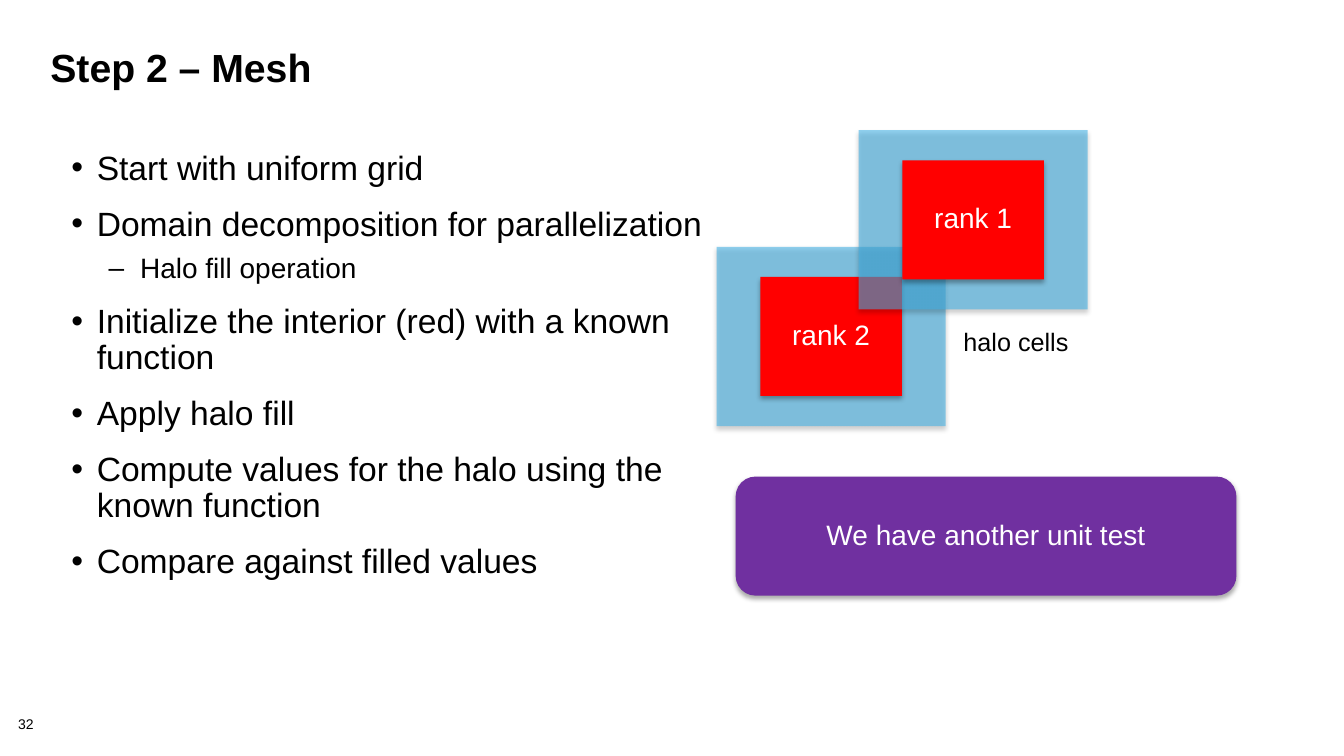
from dataclasses import dataclass

from lxml.etree import SubElement
from pptx import Presentation
from pptx.dml.color import RGBColor
from pptx.enum.shapes import MSO_SHAPE
from pptx.enum.text import MSO_ANCHOR, PP_ALIGN
from pptx.oxml.ns import qn
from pptx.util import Cm, Pt

COLORS = {
    "text": "000000",
    "on_fill": "FFFFFF",
    "halo": "43B1E5",
    "interior": "FF0000",
    "callout": "7030A0",
}
FONT = "Arial"


@dataclass(frozen=True)
class Box:
    """A rectangle on the slide, in centimetres."""
    left: float
    top: float
    width: float
    height: float

    def lengths(self):
        return Cm(self.left), Cm(self.top), Cm(self.width), Cm(self.height)

    def inset(self, dx: float, dy: float) -> "Box":
        return Box(self.left + dx, self.top + dy,
                   self.width - 2 * dx, self.height - 2 * dy)


@dataclass(frozen=True)
class Rank:
    label: str
    halo: Box


@dataclass(frozen=True)
class Level:
    mark: str
    size: float
    space_before: float
    margin: float
    hanging: float


@dataclass(frozen=True)
class Step:
    text: str
    level: int = 0


LEVELS = [Level("•", 24, 14, 0.64, 0.64), Level("–", 20, 8, 1.73, 0.79)]

STEPS = [
    Step("Start with uniform grid"),
    Step("Domain decomposition for parallelization"),
    Step("Halo fill operation", 1),
    Step("Initialize the interior (red) with a known function"),
    Step("Apply halo fill"),
    Step("Compute values for the halo using the known function"),
    Step("Compare against filled values"),
]

HALO_WIDTH, HALO_HEIGHT = 5.77, 4.52
HALO_DX, HALO_DY = 1.1, 0.76
RANKS = [
    Rank("rank 2", Box(18.06, 6.22, HALO_WIDTH, HALO_HEIGHT)),
    Rank("rank 1", Box(21.64, 3.28, HALO_WIDTH, HALO_HEIGHT)),
]


def write(paragraph, text: str, *, size: float, color: str = "text",
          bold: bool = False, align=PP_ALIGN.LEFT, spacing: float = 0.9) -> None:
    paragraph.alignment = align
    paragraph.line_spacing = spacing
    run = paragraph.add_run()
    run.text = text
    run.font.name = FONT
    run.font.size = Pt(size)
    run.font.bold = bold
    run.font.color.rgb = RGBColor.from_string(COLORS[color])


def set_frame(frame, *, dx: float = 0.25, dy: float = 0.13,
              anchor=MSO_ANCHOR.TOP, wrap: bool = True) -> None:
    frame.margin_left = frame.margin_right = Cm(dx)
    frame.margin_top = frame.margin_bottom = Cm(dy)
    frame.vertical_anchor = anchor
    frame.word_wrap = wrap


def add_text(slide, box: Box, text: str, *, size: float, **frame_format) -> None:
    frame = slide.shapes.add_textbox(*box.lengths()).text_frame
    set_frame(frame, **frame_format)
    write(frame.paragraphs[0], text, size=size)


def add_bullet(paragraph, level: Level) -> None:
    properties = paragraph._p.get_or_add_pPr()
    properties.set("marL", str(Cm(level.margin)))
    properties.set("indent", str(-Cm(level.hanging)))
    bullet_color = SubElement(properties, qn("a:buClr"))
    SubElement(bullet_color, qn("a:srgbClr"), val=COLORS["text"])
    SubElement(properties, qn("a:buFont"), typeface=FONT)
    SubElement(properties, qn("a:buChar"), char=level.mark)


def add_steps(slide, box: Box, steps: list[Step]) -> None:
    frame = slide.shapes.add_textbox(*box.lengths()).text_frame
    set_frame(frame)
    for index, step in enumerate(steps):
        paragraph = frame.add_paragraph() if index else frame.paragraphs[0]
        level = LEVELS[step.level]
        paragraph.level = step.level
        add_bullet(paragraph, level)
        paragraph.space_before = Pt(level.space_before if index else 0)
        write(paragraph, step.text, size=level.size)


def add_shadow(shape) -> None:
    """Give the shape a soft shadow straight below it."""
    shape.shadow.inherit = False
    effects = shape._element.spPr.find(qn("a:effectLst"))
    shadow = SubElement(effects, qn("a:outerShdw"), blurRad=str(Pt(3.5)),
                        dist=str(Pt(2.2)), dir="5400000", rotWithShape="0")
    shade = SubElement(shadow, qn("a:srgbClr"), val=COLORS["text"])
    SubElement(shade, qn("a:alpha"), val="32000")


def add_block(slide, box: Box, color: str, *, label: str = "",
              kind=MSO_SHAPE.RECTANGLE, opacity: int = 100) -> None:
    block = slide.shapes.add_shape(kind, *box.lengths())
    block.fill.solid()
    block.fill.fore_color.rgb = RGBColor.from_string(COLORS[color])
    block.line.fill.background()
    add_shadow(block)
    if opacity < 100:
        fill_color = block._element.spPr.find(qn("a:solidFill"))[0]
        SubElement(fill_color, qn("a:alpha"), val=str(opacity * 1000))
    if label:
        set_frame(block.text_frame, dx=0.33, dy=0.18, anchor=MSO_ANCHOR.MIDDLE)
        write(block.text_frame.paragraphs[0], label, size=20,
              color="on_fill", align=PP_ALIGN.CENTER)


def add_title(slide, box: Box, text: str) -> None:
    title = slide.shapes.title
    title.left, title.top, title.width, title.height = box.lengths()
    set_frame(title.text_frame)
    write(title.text_frame.paragraphs[0], text, size=28, bold=True, spacing=0.85)


def main() -> None:
    deck = Presentation()
    deck.slide_width, deck.slide_height = Cm(33.87), Cm(19.05)
    slide = deck.slides.add_slide(deck.slide_layouts[5])

    add_title(slide, Box(1.02, 1.14, 31.6, 2.54), "Step 2 – Mesh")
    add_text(slide, Box(0.46, 18.08, 1.42, 0.41), "32", size=10, dx=0, dy=0)
    add_steps(slide, Box(1.55, 3.68, 16.45, 13.59), STEPS)

    for rank in RANKS:
        add_block(slide, rank.halo, "halo", opacity=58)
        add_block(slide, rank.halo.inset(HALO_DX, HALO_DY), "interior",
                  label=rank.label)

    add_text(slide, Box(23.95, 8.05, 3.33, 1.19), "halo cells", size=18,
             dx=0.33, dy=0.25, anchor=MSO_ANCHOR.MIDDLE, wrap=False)
    add_block(slide, Box(18.54, 12.01, 12.62, 3), "callout",
              label="We have another unit test",
              kind=MSO_SHAPE.ROUNDED_RECTANGLE)

    deck.save("out.pptx")


if __name__ == "__main__":
    main()
